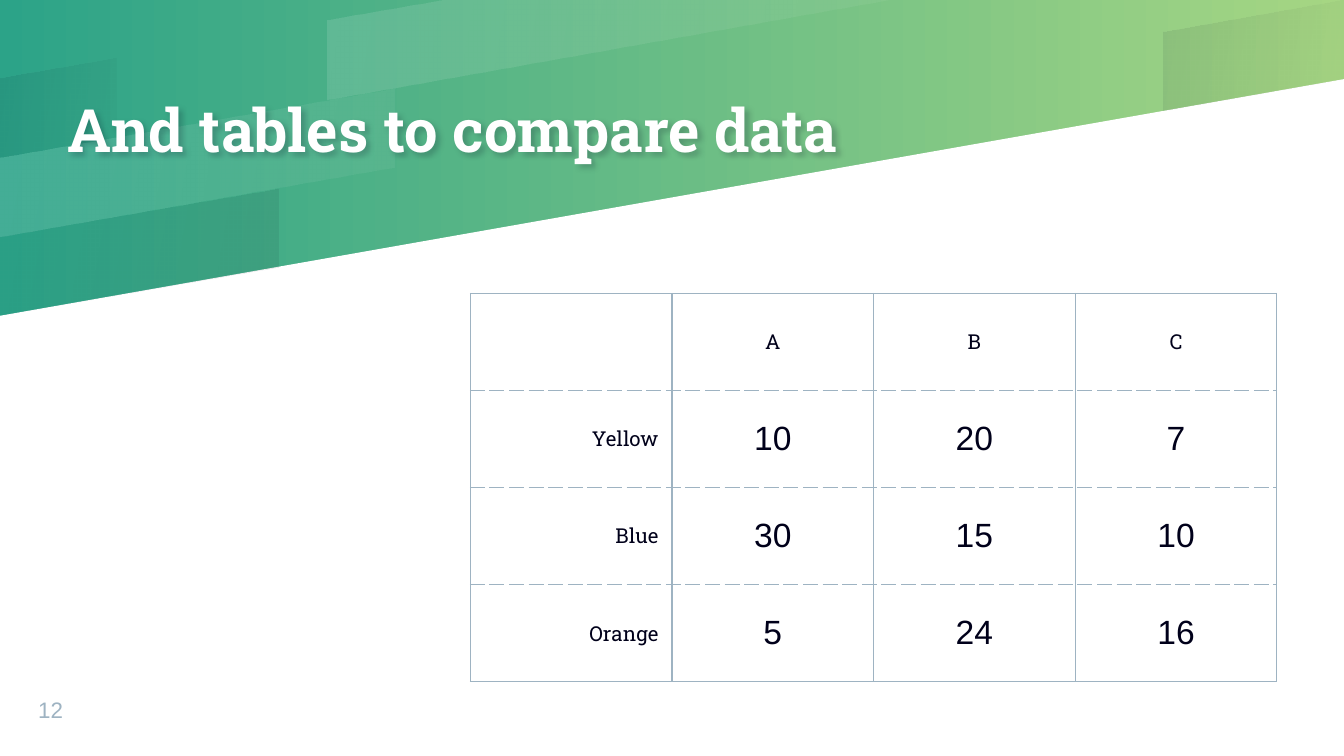
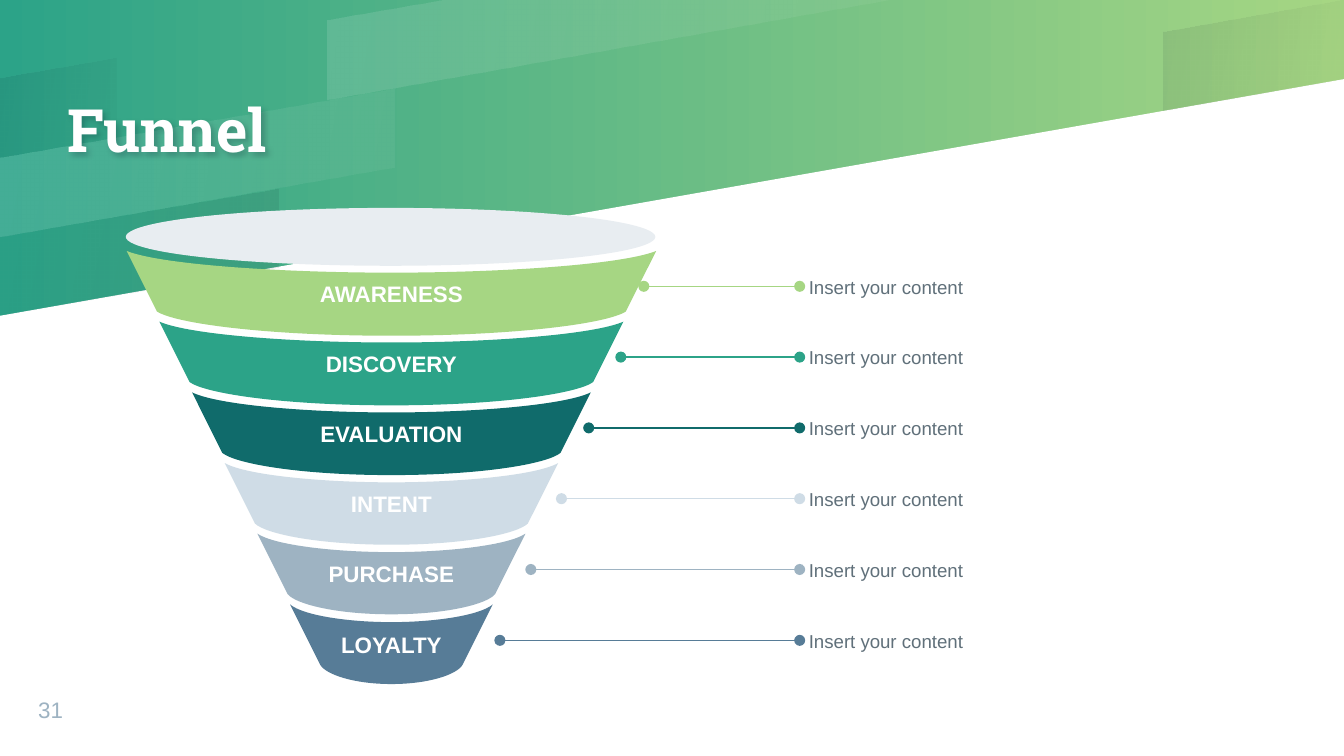
from lxml.etree import SubElement, fromstring
from pptx import Presentation
from pptx.dml.color import RGBColor
from pptx.enum.dml import MSO_LINE_DASH_STYLE as Dash
from pptx.enum.shapes import MSO_CONNECTOR as Connector
from pptx.enum.shapes import MSO_SHAPE as Shape
from pptx.enum.text import MSO_ANCHOR as Anchor
from pptx.enum.text import PP_ALIGN as Align
from pptx.oxml.ns import nsdecls, qn
from pptx.util import Pt

color = RGBColor.from_string

WHITE, INK, GREY, STEEL = "FFFFFF", "00001A", "60707A", "9EB3C2"
TEAL, LIME, DEEP, MIST, SLATE = "2CA388", "A6D683", "106B6B", "CFDCE6", "577C97"
RIM = "E8EDF1"
HEAD_FONT, BODY_FONT = "Roboto Slab", "Arial"


def write(holder, text, font=BODY_FONT, size=12, ink=WHITE, bold=False,
          align=Align.LEFT, anchor=Anchor.MIDDLE, inset=(0, 0), spacing=None):
    frame = holder.text_frame
    frame.word_wrap = True
    target = frame if hasattr(holder, "shape_type") else holder
    target.vertical_anchor = anchor
    target.margin_left = target.margin_right = Pt(inset[0])
    target.margin_top = target.margin_bottom = Pt(inset[1])
    para = frame.paragraphs[0]
    para.alignment = align
    para.line_spacing = spacing
    span = para.add_run()
    span.text = text
    span.font.name = font
    span.font.size = Pt(size)
    span.font.bold = bold
    span.font.color.rgb = color(ink)


def draw_outline(page, points, fill, alphas=None):
    corners = [(Pt(x), Pt(y)) for x, y in points]
    builder = page.shapes.build_freeform(*corners[0], scale=1.0)
    builder.add_line_segments(corners[1:], close=True)
    shape = builder.convert_to_shape()
    shape.shadow.inherit = False
    shape.line.fill.background()
    if alphas is None:
        shape.fill.solid()
        shape.fill.fore_color.rgb = color(fill)
        return shape
    shape.fill.gradient()
    shape.fill.gradient_angle = 350
    for stop in shape.fill.gradient_stops:
        stop.color.rgb = color(fill)
    for tint, alpha in zip(shape.element.spPr.iter(qn("a:srgbClr")), alphas):
        SubElement(tint, qn("a:alpha"), val=str(alpha * 1000))
    return shape


deck = Presentation()
deck.slide_width, deck.slide_height = Pt(720), Pt(405)

STRIPES = [
    ([(239, 0), (175.5, 10.8), (175.5, 53.3), (478.8, 0)], WHITE, (12, 5)),
    ([(0, 41.8), (0, 84.2), (62.6, 73.4), (62.6, 31)], INK, (8, 2)),
    ([(0, 126.7), (0, 169.2), (149, 143.3), (149, 100.8)], INK, (2, 8)),
    ([(720, 0), (719.3, 0), (623.2, 17), (623.2, 59.2), (720, 42.4)], INK, (8, 2)),
    ([(0, 84.2), (0, 126.7), (211.2, 89.4), (211.2, 47.2)], WHITE, (12, 5)),
]
TITLE_SHADOW = (
    f'<a:effectLst {nsdecls("a")}><a:outerShdw blurRad="38100" dist="25400" dir="2700000">'
    '<a:srgbClr val="00001A"><a:alpha val="20000"/></a:srgbClr></a:outerShdw></a:effectLst>'
)

pages = []
for title, number in [("And tables to compare data", "12"), ("Funnel", "31")]:
    page = deck.slides.add_slide(deck.slide_layouts[6])
    pages.append(page)
    backdrop = page.background.fill
    backdrop.gradient()
    backdrop.gradient_angle = 0
    for stop, tint in zip(backdrop.gradient_stops, (TEAL, LIME)):
        stop.color.rgb = color(tint)
    draw_outline(page, [(0, 405), (720, 405), (720, 42.4), (0, 169.2)], WHITE)
    for points, tint, alphas in STRIPES:
        draw_outline(page, points, tint, alphas)
    title_box = page.shapes.add_textbox(Pt(36), Pt(0), Pt(432), Pt(142.6))
    write(title_box, title, font=HEAD_FONT, size=32, bold=True, spacing=0.9)
    title_box.element.spPr.append(fromstring(TITLE_SHADOW))
    number_box = page.shapes.add_textbox(Pt(20.4), Pt(368), Pt(38), Pt(19.3))
    write(number_box, number, ink=STEEL, anchor=Anchor.BOTTOM)

table_page, funnel_page = pages

ROWS = [
    ["", "A", "B", "C"],
    ["Yellow", "10", "20", "7"],
    ["Blue", "30", "15", "10"],
    ["Orange", "5", "24", "16"],
]
table = table_page.shapes.add_table(4, 4, Pt(252), Pt(157.2), Pt(432), Pt(208)).table
table.first_row = table.horz_banding = False
for column in table.columns:
    column.width = Pt(108)
for row_index, row in enumerate(ROWS):
    table.rows[row_index].height = Pt(52)
    for column_index, text in enumerate(row):
        cell = table.cell(row_index, column_index)
        cell.fill.background()
        if text:
            label = row_index == 0 or column_index == 0
            write(cell, text, font=HEAD_FONT if label else BODY_FONT,
                  size=11 if label else 18, ink=INK, inset=(7.2, 5),
                  align=Align.CENTER if column_index else Align.RIGHT)
        dashed = {"T": row_index > 0, "B": row_index < 3}
        for place, side in enumerate("LRTB"):
            dash = "lgDash" if dashed.get(side) else "solid"
            border = fromstring(
                f'<a:ln{side} {nsdecls("a")} w="9525"><a:solidFill><a:srgbClr val="{STEEL}"/>'
                f'</a:solidFill><a:prstDash val="{dash}"/></a:ln{side}>')
            cell._tc.get_or_add_tcPr().insert(place, border)

BANDS = [
    ("AWARENESS", LIME, 344.9),
    ("DISCOVERY", TEAL, 332.6),
    ("EVALUATION", DEEP, 315.4),
    ("INTENT", MIST, 300.8),
    ("PURCHASE", STEEL, 284.4),
    ("LOYALTY", SLATE, 267.8),
]
CENTER, SIDE = 209.7, 32.4
for index, (stage, tint, line_start) in enumerate(BANDS):
    top = 134.5 + 37.86 * index
    half = 141.8 - 17.5 * index
    low_half = half - SIDE / 2
    middle_top = top + 11.6 - 0.42 * index
    middle_bottom = top + 45.4 - 0.55 * index
    bend_top = top + 0.63 * (middle_top - top)
    bottom = top + SIDE
    bend_bottom = (bottom + middle_bottom) / 2
    left, right = CENTER - half, CENTER + half
    low_left, low_right = CENTER - low_half, CENTER + low_half
    band = draw_outline(funnel_page, [
        (left, top), (low_left, bottom), (CENTER, middle_bottom), (low_right, bottom),
        (right, top), (CENTER, middle_top), (left, top)], tint)
    bends = {
        1: [(CENTER - 0.92 * low_half, bend_bottom), (CENTER - 0.53 * low_half, middle_bottom)],
        2: [(CENTER + 0.53 * low_half, middle_bottom), (CENTER + 0.92 * low_half, bend_bottom)],
        4: [(CENTER + 0.87 * half, bend_top), (CENTER + 0.42 * half, middle_top)],
        5: [(CENTER - 0.42 * half, middle_top), (CENTER - 0.87 * half, bend_top)],
    }
    edges = list(band.element.spPr.iter(qn("a:lnTo")))
    for place, controls in bends.items():
        edge = edges[place]
        edge.tag = qn("a:cubicBezTo")
        for order, (x, y) in enumerate(controls):
            control = edge.makeelement(
                qn("a:pt"), {"x": str(Pt(x) - band.left), "y": str(Pt(y) - band.top)})
            edge.insert(order, control)
    write(band, stage, bold=True, align=Align.CENTER, inset=(5, 3))

    level = 153.4 + 37.93 * index
    line = funnel_page.shapes.add_connector(
        Connector.STRAIGHT, Pt(line_start), Pt(level), Pt(428.4), Pt(level))
    line.line.color.rgb = color(tint)
    line.line.width = Pt(0.75)
    line.line.dash_style = Dash.SOLID
    for end in ("a:headEnd", "a:tailEnd"):
        SubElement(line.line._get_or_add_ln(), qn(end), type="oval")
    SubElement(line.element.spPr, qn("a:effectLst"))
    note = funnel_page.shapes.add_textbox(Pt(433.3), Pt(level - 13.4), Pt(219.6), Pt(27.2))
    write(note, "Insert your content", size=10, ink=GREY)

rim = funnel_page.shapes.add_shape(Shape.OVAL, Pt(67.4), Pt(111.4), Pt(283.7), Pt(31))
rim.shadow.inherit = False
rim.fill.solid()
rim.fill.fore_color.rgb = color(RIM)
rim.line.fill.background()

deck.save("out.pptx")
